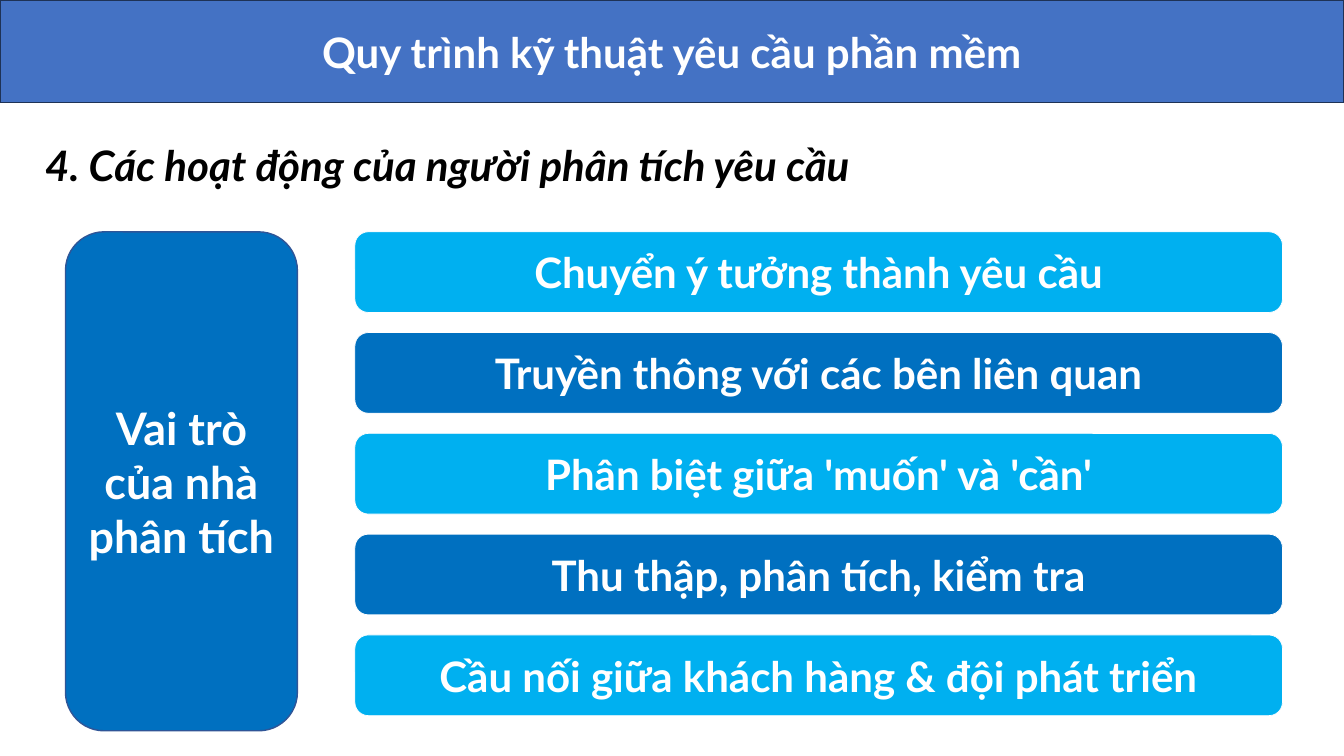
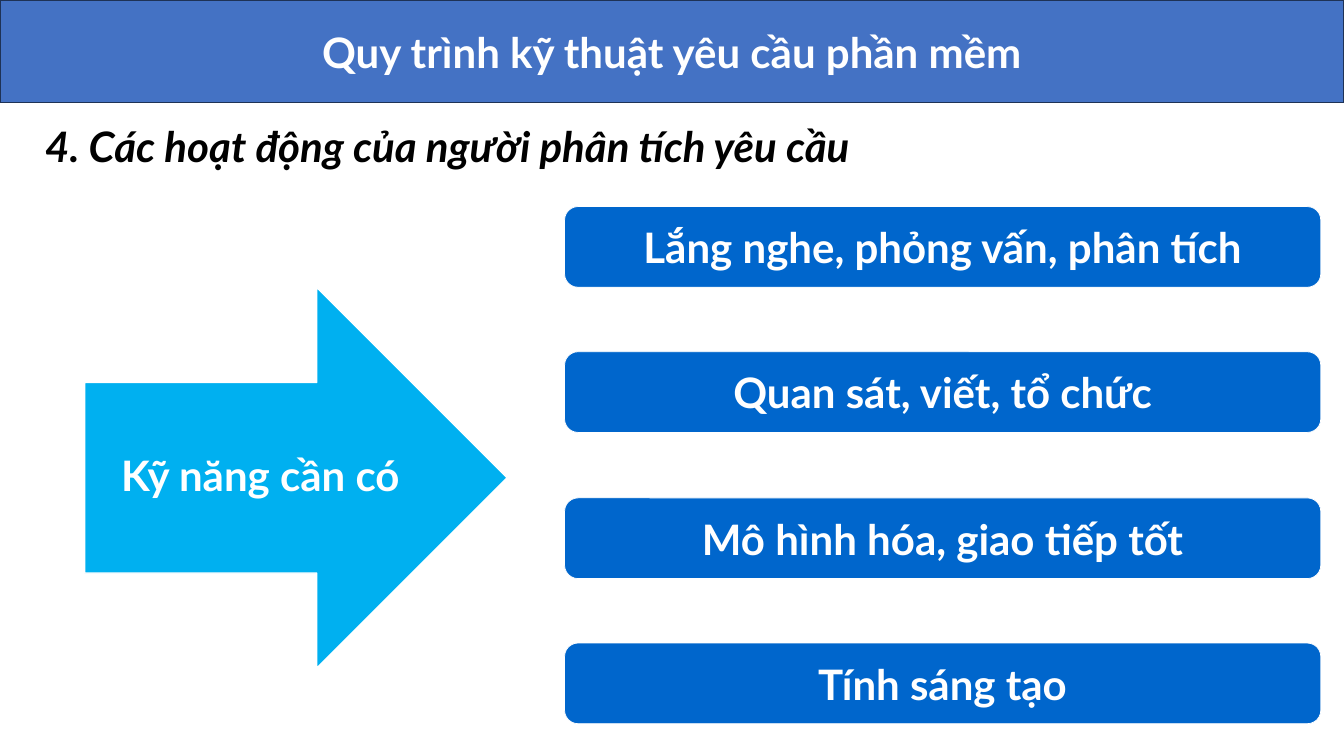
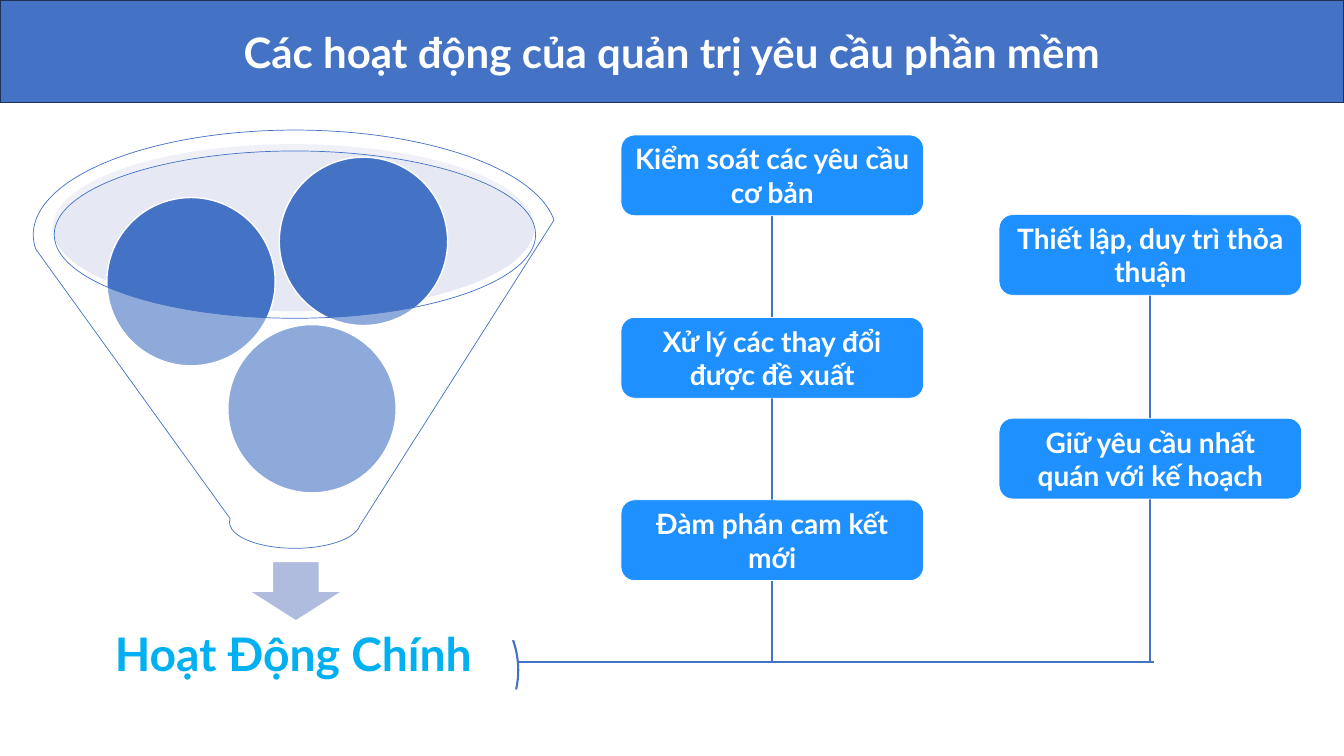
from dataclasses import dataclass, field
from typing import NamedTuple

from lxml import etree
from pptx import Presentation
from pptx import util as u
from pptx.dml.color import RGBColor
from pptx.enum import shapes, text
from pptx.oxml import ns

EMU_PER_PX = 9144
SLIDE_W, SLIDE_H = 1333, 750
PRESET = shapes.MSO_SHAPE
CENTER = text.PP_ALIGN.CENTER
MIDDLE = text.MSO_ANCHOR.MIDDLE


@dataclass(frozen=True)
class Theme:
    font: str = "Lato"
    white: str = "FFFFFF"
    black: str = "000000"
    band: str = "4472C4"
    band_edge: str = "1E3256"
    sky: str = "00B0F0"
    blue: str = "0070C0"
    role_edge: str = "2F5597"
    skill: str = "0066CC"
    activity: str = "1E90FF"
    funnel_mouth: str = "C1C9E4"
    funnel_arrow: str = "B0BCDE"
    small: int = 20
    body: int = 30
    large: int = 32
    result: int = 33


THEME = Theme()


class Box(NamedTuple):
    left: int
    top: int
    width: int
    height: int


class Edge(NamedTuple):
    color: str
    width: float = 1


@dataclass(frozen=True)
class Label:
    words: str
    size: int = THEME.body
    color: str = THEME.white
    italic: bool = False
    align: text.PP_ALIGN = CENTER
    anchor: text.MSO_ANCHOR = MIDDLE
    spacing: float = 1.0
    insets: dict[str, int] = field(default_factory=dict)


@dataclass(frozen=True)
class Column:
    """Equal bars spread evenly from top to bottom, colours taken in turn."""
    left: int
    top: int
    width: int
    bottom: int
    fills: tuple[str, ...]
    entries: tuple[str, ...]
    size: int = THEME.body
    bar_height: int = 80


def px(length: float) -> u.Emu:
    return u.Emu(round(length * EMU_PER_PX))


def place(box: Box) -> list[u.Emu]:
    return [px(length) for length in box]


def set_all(target, values: dict) -> None:
    for name, value in values.items():
        setattr(target, name, value)


def write(shape, label: Label) -> None:
    frame = shape.text_frame
    set_all(frame, {"word_wrap": True, "vertical_anchor": label.anchor})
    set_all(frame, {f"margin_{side}": px(inset) for side, inset in label.insets.items()})
    paragraph = frame.paragraphs[0]
    set_all(paragraph, {"alignment": label.align, "line_spacing": label.spacing})
    run = paragraph.add_run()
    run.text = label.words
    set_all(run.font, {"name": THEME.font, "size": u.Pt(label.size),
                       "bold": True, "italic": label.italic})
    run.font.color.rgb = RGBColor.from_string(label.color)


def add_text(slide, box: Box, label: Label) -> None:
    write(slide.shapes.add_textbox(*place(box)), label)


def set_edge(line, edge: Edge) -> None:
    line.color.rgb = RGBColor.from_string(edge.color)
    line.width = u.Pt(edge.width)


def add_shape(slide, kind: PRESET, box: Box, fill: str | None = None,
              edge: Edge | None = None, label: Label | None = None,
              opacity: int = 100):
    shape = slide.shapes.add_shape(kind, *place(box))
    shape.shadow.inherit = False
    if fill:
        shape.fill.solid()
        shape.fill.fore_color.rgb = RGBColor.from_string(fill)
    else:
        shape.fill.background()
    if opacity < 100:
        color = shape.fill._xPr.find(f".//{ns.qn('a:srgbClr')}")
        etree.SubElement(color, ns.qn("a:alpha"), val=str(opacity * 1000))
    if edge:
        set_edge(shape.line, edge)
    else:
        shape.line.fill.background()
    if label:
        write(shape, label)
    return shape


def add_line(slide, start: tuple[int, int], end: tuple[int, int]) -> None:
    line = slide.shapes.add_connector(
        shapes.MSO_CONNECTOR.STRAIGHT, *(px(value) for value in (*start, *end)))
    set_edge(line.line, Edge(THEME.band, 1.5))
    etree.SubElement(line._element.spPr, ns.qn("a:effectLst"))


def add_column(slide, column: Column) -> None:
    step = (column.bottom - column.top - column.bar_height) / (len(column.entries) - 1)
    for index, entry in enumerate(column.entries):
        add_shape(slide, PRESET.ROUNDED_RECTANGLE,
                  Box(column.left, round(column.top + index * step),
                      column.width, column.bar_height),
                  column.fills[index % len(column.fills)], Edge(THEME.white, 0.5),
                  Label(entry, column.size))


def start_slide(deck, title: str):
    slide = deck.slides.add_slide(deck.slide_layouts[6])
    add_shape(slide, PRESET.RECTANGLE, Box(0, 0, SLIDE_W, 102), THEME.band,
              Edge(THEME.band_edge), Label(title))
    return slide


def start_analyst_slide(deck, heading_top: int):
    slide = start_slide(deck, "Quy trình kỹ thuật yêu cầu phần mềm")
    add_text(slide, Box(35, heading_top, 1298, 61),
             Label("4. Các hoạt động của người phân tích yêu cầu", color=THEME.black,
                   italic=True, align=text.PP_ALIGN.LEFT, anchor=text.MSO_ANCHOR.TOP))
    return slide


def build_roles(deck) -> None:
    slide = start_analyst_slide(deck, 133)
    add_column(slide, Column(352, 230, 920, 710, (THEME.sky, THEME.blue), (
        "Chuyển ý tưởng thành yêu cầu",
        "Truyền thông với các bên liên quan",
        "Phân biệt giữa 'muốn' và 'cần'",
        "Thu thập, phân tích, kiểm tra",
        "Cầu nối giữa khách hàng & đội phát triển")))
    add_shape(slide, PRESET.ROUNDED_RECTANGLE, Box(65, 230, 230, 495), THEME.blue,
              Edge(THEME.role_edge), Label("Vai trò của nhà phân tích", THEME.large))


def build_skills(deck) -> None:
    slide = start_analyst_slide(deck, 115)
    add_column(slide, Column(560, 205, 750, 718, (THEME.skill,), (
        "Lắng nghe, phỏng vấn, phân tích",
        "Quan sát, viết, tổ chức",
        "Mô hình hóa, giao tiếp tốt",
        "Tính sáng tạo")))
    add_shape(slide, PRESET.RIGHT_ARROW, Box(84, 285, 419, 378), THEME.sky,
              Edge(THEME.white),
              Label("Kỹ năng cần có", spacing=0.9, insets={"left": 24, "right": 0}))


def build_funnel(slide) -> None:
    add_shape(slide, PRESET.OVAL, Box(52, 143, 478, 166), THEME.funnel_mouth, opacity=40)
    add_shape(slide, PRESET.DOWN_ARROW, Box(247, 557, 93, 59), THEME.funnel_arrow,
              Edge(THEME.white))
    add_text(slide, Box(69, 596, 444, 111),
             Label("Hoạt Động Chính", THEME.result, THEME.sky, spacing=0.9,
                   insets=dict.fromkeys(("left", "top", "right", "bottom"), 26)))
    for left, top in ((226, 322), (106, 196), (277, 156)):
        add_shape(slide, PRESET.OVAL, Box(left, top, 167, 167), THEME.band,
                  Edge(THEME.white))
    add_shape(slide, PRESET.FUNNEL, Box(33, 129, 519, 415), THEME.white,
              Edge(THEME.band, 0.5), opacity=40)


def build_activities(deck) -> None:
    slide = start_slide(deck, "Các hoạt động của quản trị yêu cầu phần mềm")
    trunk_y = 657
    add_line(slide, (513, trunk_y), (1145, trunk_y))
    bracket = add_shape(slide, PRESET.ARC, Box(334, 575, 180, 180),
                        edge=Edge(THEME.band, 1.5))
    for index, degrees in enumerate((340.6, 12.2)):
        bracket.adjustments[index] = degrees * 0.6  # 60000ths of a degree over 100000
    columns = (
        Column(616, 134, 300, 576, (THEME.activity,), (
            "Kiểm soát các yêu cầu cơ bản",
            "Xử lý các thay đổi được đề xuất",
            "Đàm phán cam kết mới"), THEME.small),
        Column(991, 213, 300, 495, (THEME.activity,), (
            "Thiết lập, duy trì thỏa thuận",
            "Giữ yêu cầu nhất quán với kế hoạch"), THEME.small))
    for column in columns:
        center = column.left + column.width // 2
        add_line(slide, (center, trunk_y), (center, column.top + column.bar_height))
        add_column(slide, column)
    build_funnel(slide)


def main() -> None:
    deck = Presentation()
    set_all(deck, {"slide_width": px(SLIDE_W), "slide_height": px(SLIDE_H)})
    for build in (build_roles, build_skills, build_activities):
        build(deck)
    deck.save("out.pptx")


if __name__ == "__main__":
    main()
